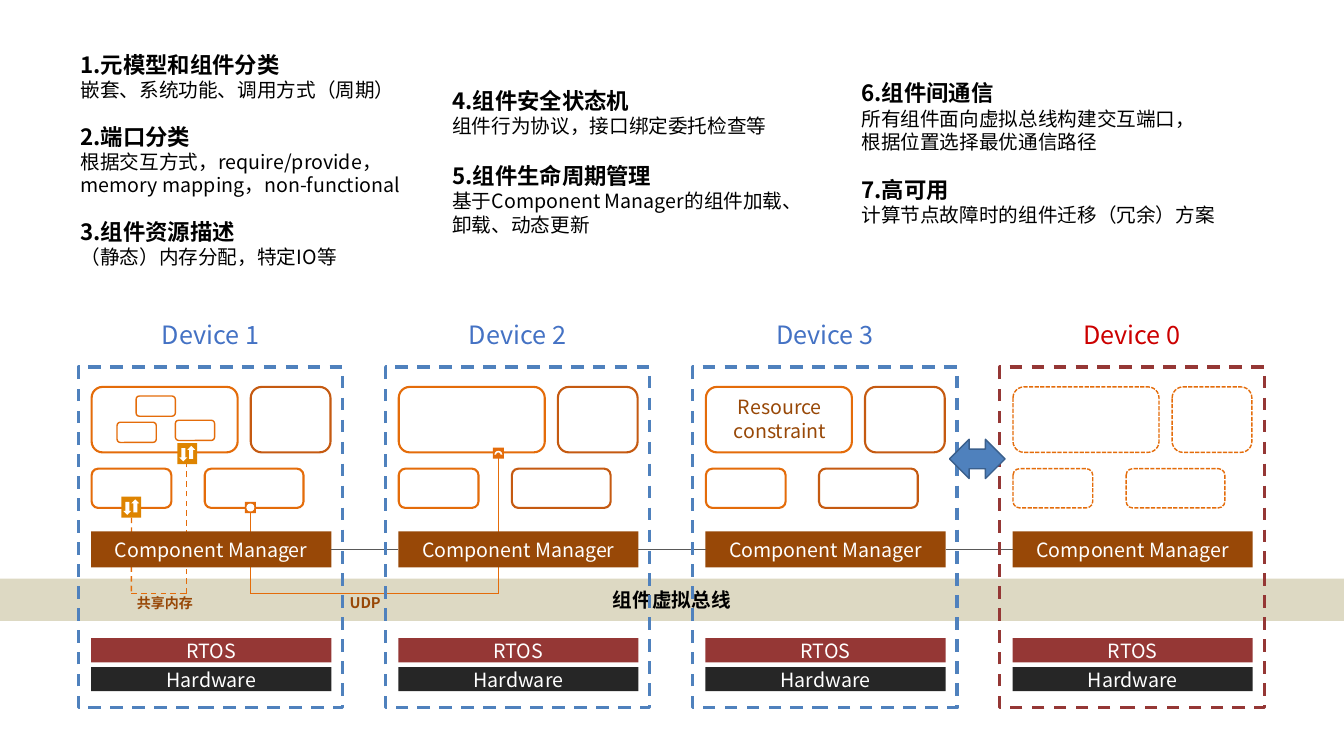
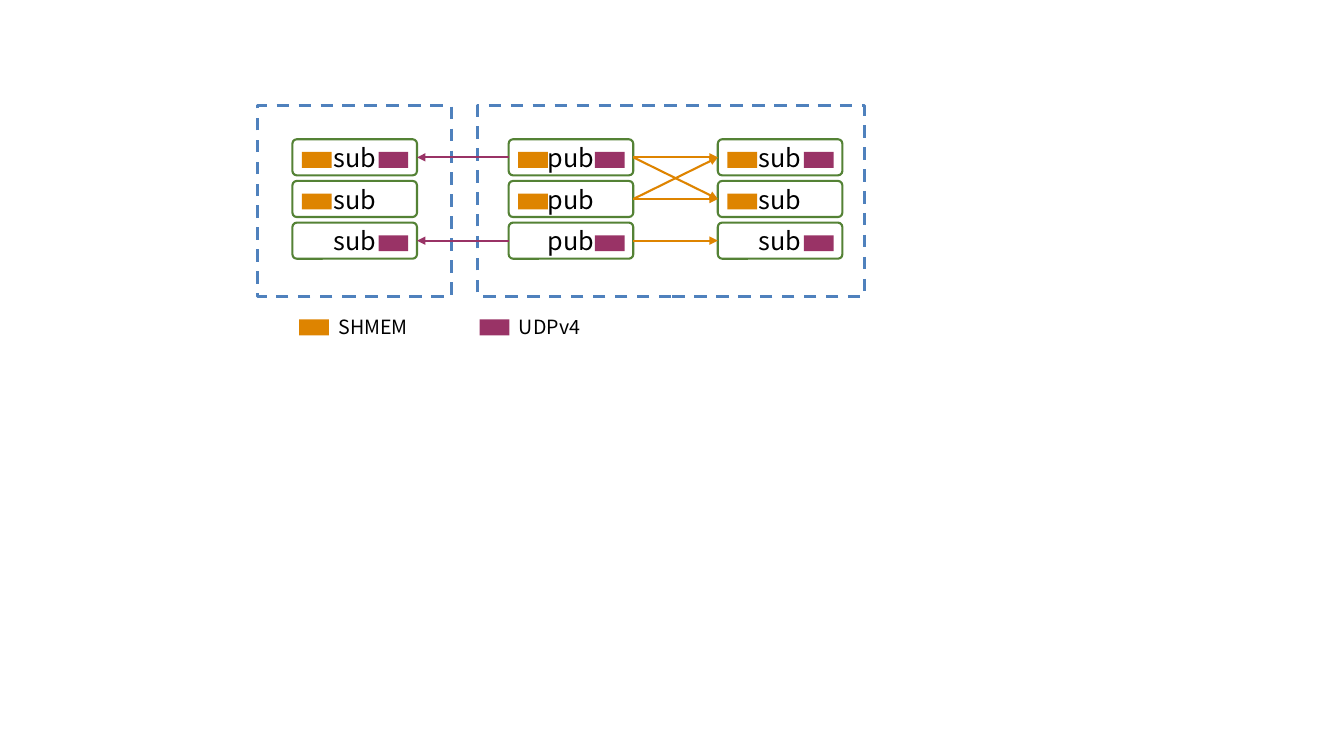
from lxml.etree import SubElement
from pptx import Presentation
from pptx.dml.color import RGBColor
from pptx.enum.dml import MSO_LINE
from pptx.enum.shapes import MSO_CONNECTOR, MSO_SHAPE as SHAPE
from pptx.enum.text import MSO_ANCHOR, MSO_AUTO_SIZE, PP_ALIGN
from pptx.oxml.ns import qn
from pptx.util import Cm, Pt

COLORS = {
    "black": "000000", "white": "FFFFFF", "bus": "DDD9C3", "blue": "4F81BD",
    "blue_edge": "3A5F8C", "label": "4472C4", "red": "CC0000", "rtos": "953735",
    "hardware": "262626", "brown": "984807", "orange": "E46C0A", "rust": "C55A11",
    "gray": "595959", "shmem": "DE8400", "udp": "993366", "green": "548235",
}
FONT = "Noto Sans CJK SC"
TOP, LEFT, BOTTOM, RIGHT = range(4)

DEVICE_LEFT, DEVICE_TOP, DEVICE_PITCH = 1.98, 9.25, 7.74
DEVICE_WIDTH, DEVICE_HEIGHT = 6.66, 8.59
DEVICES = ["Device 1", "Device 2", "Device 3", "Device 0"]
INSET = 0.32
BUS_DEPTH = 5.71

NOTES = [
    (1.78, 1.17, 9.12, ["1.元模型和组件分类", "嵌套、系统功能、调用方式（周期）"]),
    (1.78, 2.97, 8.94, ["2.端口分类", "根据交互方式，require/provide，",
                        "memory mapping，non-functional"]),
    (1.78, 5.36, 9.12, ["3.组件资源描述", "（静态）内存分配，特定IO等"]),
    (11.15, 2.06, 9.83, ["4.组件安全状态机", "组件行为协议，接口绑定委托检查等"]),
    (11.15, 3.96, 8.94, ["5.组件生命周期管理",
                         "基于Component Manager的组件加载、卸载、动态更新"]),
    (21.46, 1.88, 9.12, ["6.组件间通信",
                         "所有组件面向虚拟总线构建交互端口，根据位置选择最优通信路径"]),
    (21.46, 4.32, 9.83, ["7.高可用", "计算节点故障时的组件迁移（冗余）方案"]),
]


def rgb(name):
    """Return the named colour."""
    return RGBColor.from_string(COLORS[name])


def style_runs(paragraph, size, color, bold=False):
    """Format every run of a paragraph."""
    for run in paragraph.runs:
        run.font.size = Pt(size)
        run.font.bold = bold
        run.font.color.rgb = rgb(color)
        run.font.name = FONT
        SubElement(run.font._element, qn("a:ea"), typeface=FONT)


def style_line(line, color, width, dash=None):
    """Set colour, width and dash of a line."""
    line.color.rgb = rgb(color)
    line.width = Pt(width)
    if dash is not None:
        line.dash_style = dash


def add_box(shapes, kind, box, fill=None, edge=None, text=None, size=14, color="white",
            bold=False):
    """Add a preset shape; edge is colour, width and an optional dash."""
    shape = shapes.add_shape(kind, *map(Cm, box))
    shape.shadow.inherit = False
    if fill:
        shape.fill.solid()
        shape.fill.fore_color.rgb = rgb(fill)
    else:
        shape.fill.background()
    if edge:
        style_line(shape.line, *edge)
    else:
        shape.line.fill.background()
    if text:
        frame = shape.text_frame
        frame.margin_left = frame.margin_right = frame.margin_top = frame.margin_bottom = 0
        frame.vertical_anchor = MSO_ANCHOR.MIDDLE
        frame.text = text
        frame.paragraphs[0].alignment = PP_ALIGN.CENTER
        style_runs(frame.paragraphs[0], size, color, bold)
    return shape


def add_text(shapes, left, top, width, lines, sizes, color="black", bolds=(False,),
             align=PP_ALIGN.LEFT):
    """Add a wrapping text box; the last size and weight serve all later lines."""
    height = 0.25 + sum(sizes) * 0.043
    frame = shapes.add_textbox(Cm(left), Cm(top), Cm(width), Cm(height)).text_frame
    frame.word_wrap = True
    frame.auto_size = MSO_AUTO_SIZE.SHAPE_TO_FIT_TEXT
    frame.text = "\n".join(lines)
    for index, paragraph in enumerate(frame.paragraphs):
        size = sizes[min(index, len(sizes) - 1)]
        paragraph.alignment = align
        paragraph.line_spacing = Pt(round(size * 1.2, 1))
        style_runs(paragraph, size, color, bolds[min(index, len(bolds) - 1)])


def add_line(shapes, start, end, color, width, dash=None, arrow=False):
    """Add a straight connector between two points."""
    line = shapes.add_connector(MSO_CONNECTOR.STRAIGHT, *map(Cm, (*start, *end)))
    style_line(line.line, color, width, dash)
    properties = line.element.spPr
    if arrow:
        SubElement(properties.find(qn("a:ln")), qn("a:tailEnd"), type="triangle")
    SubElement(properties, qn("a:effectLst"))
    return line


def join(shapes, source, source_side, target, target_side, color, width, arrow=False):
    """Connect the sides of two shapes."""
    line = add_line(shapes, (0, 0), (1, 1), color, width, arrow=arrow)
    line.begin_connect(source, source_side)
    line.end_connect(target, target_side)


def centered(x, y, width, height):
    """Return the box of the given size around a centre."""
    return x - width / 2, y - height / 2, width, height


def add_components(shapes, x, y, edges):
    """Draw the four components of a device and return them."""
    places = [(0.33, 0.5, 3.68, 1.65), (4.34, 0.5, 2.01, 1.65),
              (0.33, 2.56, 2.01, 0.99), (3.18, 2.56, 2.49, 0.99)]
    return [add_box(shapes, SHAPE.ROUNDED_RECTANGLE, (x + dx, y + dy, w, h), edge=edge)
            for (dx, dy, w, h), edge in zip(places, edges)]


def add_platform(shapes, x, y):
    """Draw manager, RTOS and hardware bars and return the manager."""
    layers = [("Component Manager", 4.14, 0.91, "brown"), ("RTOS", 6.83, 0.61, "rtos"),
              ("Hardware", 7.56, 0.61, "hardware")]
    bars = [add_box(shapes, SHAPE.RECTANGLE, (x + INSET, y + dy, 6.05, h), fill, text=text)
            for text, dy, h, fill in layers]
    return bars[0]


def add_frame(shapes, x, y, title, spare):
    """Draw the dashed outline of a device and its title."""
    edge = ("rtos" if spare else "blue", 2.25, MSO_LINE.DASH)
    add_box(shapes, SHAPE.RECTANGLE, (x, y, DEVICE_WIDTH, DEVICE_HEIGHT), edge=edge)
    add_text(shapes, x + 1, y - 1.33, 4.65, [title], [18], "red" if spare else "label",
             align=PP_ALIGN.CENTER)


def add_route(shapes, x, y, points, dash=None):
    """Draw a route through points relative to a device; return its first leg."""
    stops = [(x + dx, y + dy) for dx, dy in points]
    legs = [add_line(shapes, start, end, "orange", 1, dash)
            for start, end in zip(stops, stops[1:])]
    return legs[0]


def add_routes(shapes, x, y, shared_component):
    """Draw the shared memory and UDP routes with their labels."""
    shared = [(1.33, 3.55), (1.33, BUS_DEPTH), (2.72, BUS_DEPTH), (2.72, 2.15)]
    udp = [(4.33, 3.55), (4.33, BUS_DEPTH), (10.58, BUS_DEPTH), (10.58, 2.15)]
    add_route(shapes, x, y, shared, MSO_LINE.DASH).begin_connect(shared_component, BOTTOM)
    add_route(shapes, x, y, udp)
    for text, dx, dy, size in [("共享内存", -0.15, 5.61, 10), ("UDP", 4.9, 5.58, 10.5)]:
        add_text(shapes, x + dx, y + dy, 4.65, [text], [size], "brown", [True],
                 PP_ALIGN.CENTER)


def add_ports(shapes, x, y):
    """Draw the shared memory and UDP ports on the components."""
    for dx, dy in [(1.33, 3.53), (2.74, 2.18)]:
        port = shapes.add_group_shape().shapes
        add_box(port, SHAPE.RECTANGLE, centered(x + dx, y + dy, 0.5, 0.53), "shmem")
        for kind, side in [(SHAPE.DOWN_ARROW, -1), (SHAPE.UP_ARROW, 1)]:
            center = x + dx + side * 0.1, y + dy - side * 0.03
            add_box(port, kind, centered(*center, 0.2, 0.33), "white")
    for kind, dx, dy, drop in [(SHAPE.OVAL, 4.33, 3.54, 0), (SHAPE.BLOCK_ARC, 10.58, 2.17, 0.04)]:
        port = shapes.add_group_shape().shapes
        add_box(port, SHAPE.RECTANGLE, centered(x + dx, y + dy, 0.28, 0.28), "orange")
        mark = add_box(port, kind, centered(x + dx, y + dy + drop, 0.2, 0.2), "white")
        if kind == SHAPE.BLOCK_ARC:
            for index, value in enumerate((108, 216, 0.211)):
                mark.adjustments[index] = value


def build_architecture(slide):
    """Build the component architecture slide."""
    shapes = slide.shapes
    add_box(shapes, SHAPE.RECTANGLE, (0, 14.58, 33.87, 1.07), "bus", text="组件虚拟总线",
            color="black", bold=True)
    lefts = [DEVICE_LEFT + DEVICE_PITCH * index for index in range(len(DEVICES))]
    orange, rust = ("orange", 1.5), ("rust", 1.5)
    spare = ("orange", 1, MSO_LINE.SQUARE_DOT)
    edges = [(orange, rust, orange, orange), *[(orange, rust, orange, rust)] * 2, (spare,) * 4]
    components = [add_components(shapes, x, DEVICE_TOP, edge)
                  for x, edge in zip(lefts, edges)]
    add_routes(shapes, DEVICE_LEFT, DEVICE_TOP, components[0][2])
    managers = [add_platform(shapes, x, DEVICE_TOP) for x in lefts]
    for manager, neighbor in zip(managers, managers[1:]):
        join(shapes, manager, RIGHT, neighbor, LEFT, "gray", 1)
    for dx, dy in [(1.45, 0.73), (0.97, 1.39), (2.44, 1.34)]:
        add_box(shapes, SHAPE.ROUNDED_RECTANGLE,
                (DEVICE_LEFT + dx, DEVICE_TOP + dy, 0.99, 0.51), edge=("orange", 1))
    add_text(shapes, lefts[2] - 0.13, DEVICE_TOP + 0.58, 4.65, ["Resource constraint"], [14],
             "brown", align=PP_ALIGN.CENTER)
    for x, title in zip(lefts, DEVICES):
        add_frame(shapes, x, DEVICE_TOP, title, title == "Device 0")
    add_ports(shapes, DEVICE_LEFT, DEVICE_TOP)
    add_box(shapes, SHAPE.LEFT_RIGHT_ARROW, (lefts[3] - 1.27, DEVICE_TOP + 1.82, 1.4, 0.99),
            "blue", ("blue_edge", 1))
    for left, top, width, lines in NOTES:
        add_text(shapes, left, top, width, lines, [16, 14], bolds=[True, False])


def add_chip(shapes, x, y, transport):
    """Draw the colour chip of a transport."""
    add_box(shapes, SHAPE.RECTANGLE, (x, y, 0.75, 0.4), transport)


def add_endpoints(shapes, x, y, role):
    """Draw a column of three endpoints and return them."""
    endpoints = []
    for row, transports in enumerate([("shmem", "udp"), ("shmem",), ("udp",)]):
        top = y + 1.05 * row
        endpoint = add_box(shapes, SHAPE.ROUNDED_RECTANGLE, (x, top, 3.14, 0.91),
                           edge=("green", 1.5), text=role, size=18, color="black")
        endpoint.adjustments[0] = 0.121
        for transport in transports:
            add_chip(shapes, x + (0.24 if transport == "shmem" else 2.17), top + 0.32, transport)
        endpoints.append(endpoint)
    return endpoints


def build_transports(slide):
    """Build the publisher and subscriber transport slide."""
    shapes = slide.shapes
    for left, width in [(6.48, 4.9), (12.04, 9.75)]:
        add_box(shapes, SHAPE.RECTANGLE, (left, 2.67, width, 4.8),
                edge=("blue", 2.25, MSO_LINE.DASH))
    remote, publishers, local = [add_endpoints(shapes, x, 3.51, role) for x, role in
                                 [(7.37, "sub"), (12.82, "pub"), (18.09, "sub")]]
    for source, target in [(0, 0), (0, 1), (1, 0), (1, 1), (2, 2)]:
        join(shapes, publishers[source], RIGHT, local[target], LEFT, "shmem", 1.5, True)
    for row in (0, 2):
        join(shapes, publishers[row], LEFT, remote[row], RIGHT, "udp", 1.5, True)
    for text, transport, left in [("SHMEM", "shmem", 7.54), ("UDPv4", "udp", 12.09)]:
        add_chip(shapes, left, 8.05, transport)
        add_text(shapes, left + 0.74, 7.82, 2.44, [text], [14])


def main():
    """Build and save the presentation."""
    deck = Presentation()
    deck.slide_width, deck.slide_height = Cm(33.87), Cm(19.05)
    for build in (build_architecture, build_transports):
        build(deck.slides.add_slide(deck.slide_layouts[6]))
    deck.save("out.pptx")


if __name__ == "__main__":
    main()
